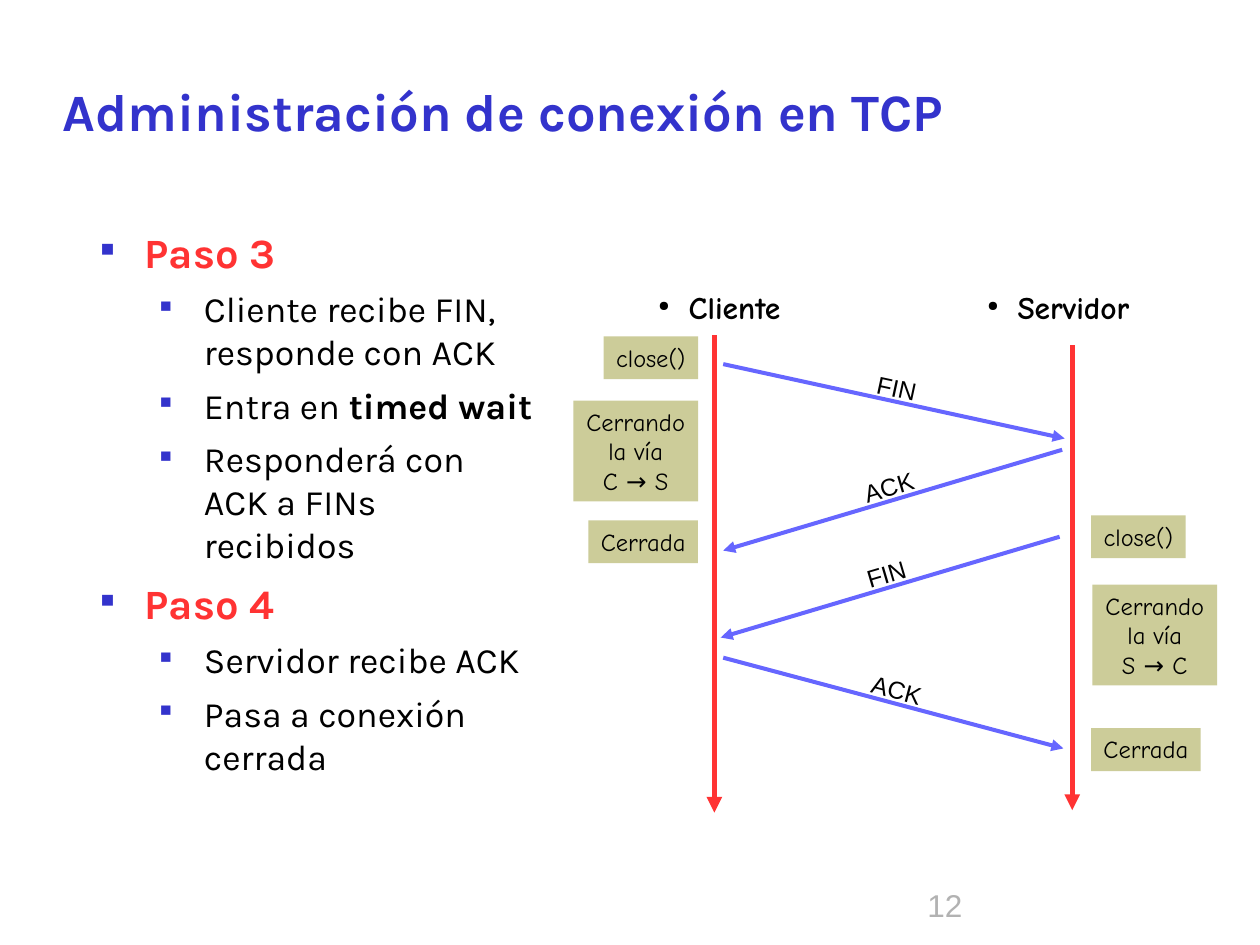
from math import atan2, cos, degrees, sin

from lxml.etree import SubElement
from pptx import Presentation
from pptx.dml.color import RGBColor
from pptx.enum.shapes import MSO_CONNECTOR as Connector, MSO_SHAPE as Shape
from pptx.enum.text import MSO_ANCHOR as Anchor, MSO_AUTO_SIZE as AutoSize, PP_ALIGN as Align
from pptx.oxml.ns import qn
from pptx.util import Inches, Pt

BLUE, RED, BLACK = "3333CC", "FF3333", "000000"
MESSAGE_BLUE, STATE_FILL, NUMBER_GRAY = "6666FF", "CCCC99", "B2B2B2"
CLIENT_X, SERVER_X = 5.67, 8.51

STEPS = [
    ("Paso 3", [
        [("Cliente recibe FIN, responde con ACK", False)],
        [("Entra en", False), (" timed wait", True)],
        [("Responderá con\nACK a FINs\nrecibidos", False)],
    ]),
    ("Paso 4", [
        [("Servidor recibe ACK", False)],
        [("Pasa a conexión\ncerrada", False)],
    ]),
]
HEADINGS = [("Cliente", 5.06, 1.3), ("Servidor", 7.65, 1.5)]
LIFELINES = [(CLIENT_X, 2.66, 6.45), (SERVER_X, 2.74, 6.43)]
MESSAGES = [
    ("FIN", (5.74, 2.89), (8.45, 3.48)),
    ("ACK", (8.43, 3.57), (5.74, 4.37)),
    ("FIN", (8.41, 4.26), (5.72, 5.06)),
    ("ACK", (5.74, 5.22), (8.44, 5.94)),
]
STATES = [
    (["close()"], 4.79, 2.67, 0.75, 0.34),
    (["Cerrando", "la vía", "C → S"], 4.55, 3.18, 0.99, 0.8),
    (["Cerrada"], 4.67, 4.13, 0.87, 0.34),
    (["close()"], 8.66, 4.09, 0.75, 0.34),
    (["Cerrando", "la vía", "S → C"], 8.67, 4.64, 0.99, 0.8),
    (["Cerrada"], 8.66, 5.78, 0.87, 0.34),
]


def rgb(value):
    return RGBColor.from_string(value)


def add_run(paragraph, text, font, size, color, bold=False):
    for number, line in enumerate(text.split("\n")):
        if number:
            paragraph.add_line_break()
        run = paragraph.add_run()
        run.text = line
        run.font.name = font
        run.font.size = Pt(size)
        run.font.bold = bold
        run.font.color.rgb = rgb(color)


def add_bullet(paragraph, symbol, color, margin, hanging):
    properties = paragraph._p.get_or_add_pPr()
    properties.set("marL", str(Inches(margin)))
    properties.set("indent", str(-Inches(hanging)))
    bullet_color = SubElement(properties, qn("a:buClr"))
    SubElement(bullet_color, qn("a:srgbClr"), val=color)
    SubElement(properties, qn("a:buSzPct"), val="45000")
    SubElement(properties, qn("a:buChar"), char=symbol)


def add_text_frame(slide, left, top, width, height):
    box = slide.shapes.add_textbox(Inches(left), Inches(top), Inches(width), Inches(height))
    box.text_frame.word_wrap = True
    return box.text_frame


def add_title(slide, text):
    frame = add_text_frame(slide, 0.4, 0.25, 9.14, 1.25)
    frame.vertical_anchor = Anchor.MIDDLE
    add_run(frame.paragraphs[0], text, "Karla", 30, BLUE, True)


def add_steps(slide):
    frame = add_text_frame(slide, 0.58, 1.75, 4.28, 5.23)
    for number, (step, details) in enumerate(STEPS):
        heading = frame.add_paragraph() if number else frame.paragraphs[0]
        add_bullet(heading, "■", BLUE, 0.47, 0.35)
        if number:
            heading.space_before = Pt(7)
        add_run(heading, step, "Karla", 23.8, RED, True)
        for pieces in details:
            detail = frame.add_paragraph()
            detail.level = 1
            add_bullet(detail, "■", BLUE, 0.94, 0.35)
            detail.space_before = Pt(6)
            for text, bold in pieces:
                add_run(detail, text, "Karla", 20.4, BLACK, bold)


def add_heading(slide, text, left, width):
    frame = add_text_frame(slide, left, 2.24, width, 0.4)
    paragraph = frame.paragraphs[0]
    paragraph.alignment = Align.CENTER
    add_bullet(paragraph, "●", BLACK, 0.24, 0.24)
    add_run(paragraph, text, "Comic Neue", 18, BLACK, True)


def add_arrow(slide, start, end, color, weight):
    arrow = slide.shapes.add_connector(Connector.STRAIGHT, *map(Inches, start + end))
    arrow.line.color.rgb = rgb(color)
    arrow.line.width = Pt(weight)
    SubElement(arrow.line._get_or_add_ln(), qn("a:tailEnd"), type="triangle")
    SubElement(arrow._element.spPr, qn("a:effectLst"))


def add_message(slide, text, start, end):
    add_arrow(slide, start, end, MESSAGE_BLUE, 2.3)
    (left, left_y), (right, right_y) = sorted([start, end])
    slope = atan2(right_y - left_y, right - left)
    width, height, offset = 0.8, 0.34, 0.11
    center_x = (left + right) / 2 + offset * sin(slope)
    center_y = (left_y + right_y) / 2 - offset * cos(slope)
    label = slide.shapes.add_textbox(
        Inches(center_x - width / 2), Inches(center_y - height / 2), Inches(width), Inches(height))
    label.rotation = degrees(slope)
    frame = label.text_frame
    frame.word_wrap = True
    frame.vertical_anchor = Anchor.MIDDLE
    frame.paragraphs[0].alignment = Align.CENTER
    add_run(frame.paragraphs[0], text, "Arial", 14, BLACK)


def add_state(slide, lines, left, top, width, height):
    state = slide.shapes.add_shape(
        Shape.RECTANGLE, Inches(left), Inches(top), Inches(width), Inches(height))
    state.shadow.inherit = False
    state.fill.solid()
    state.fill.fore_color.rgb = rgb(STATE_FILL)
    state.line.fill.background()
    frame = state.text_frame
    frame.word_wrap = False
    frame.auto_size = AutoSize.SHAPE_TO_FIT_TEXT
    frame.vertical_anchor = Anchor.TOP
    for number, line in enumerate(lines):
        paragraph = frame.add_paragraph() if number else frame.paragraphs[0]
        paragraph.alignment = Align.CENTER
        add_run(paragraph, line, "Comic Neue", 14, BLACK)


def add_page_number(slide, number):
    frame = add_text_frame(slide, 5.47, 6.98, 4.06, 0.42)
    frame.paragraphs[0].alignment = Align.CENTER
    add_run(frame.paragraphs[0], number, "Arial", 18, NUMBER_GRAY)


def main():
    deck = Presentation()
    deck.slide_width, deck.slide_height = Inches(10), Inches(7.5)
    slide = deck.slides.add_slide(deck.slide_layouts[6])
    add_title(slide, "Administración de conexión en TCP")
    add_steps(slide)
    for x, top, bottom in LIFELINES:
        add_arrow(slide, (x, top), (x, bottom), RED, 3)
    for heading in HEADINGS:
        add_heading(slide, *heading)
    for message in MESSAGES:
        add_message(slide, *message)
    for state in STATES:
        add_state(slide, *state)
    add_page_number(slide, "12")
    deck.save("out.pptx")


if __name__ == "__main__":
    main()
